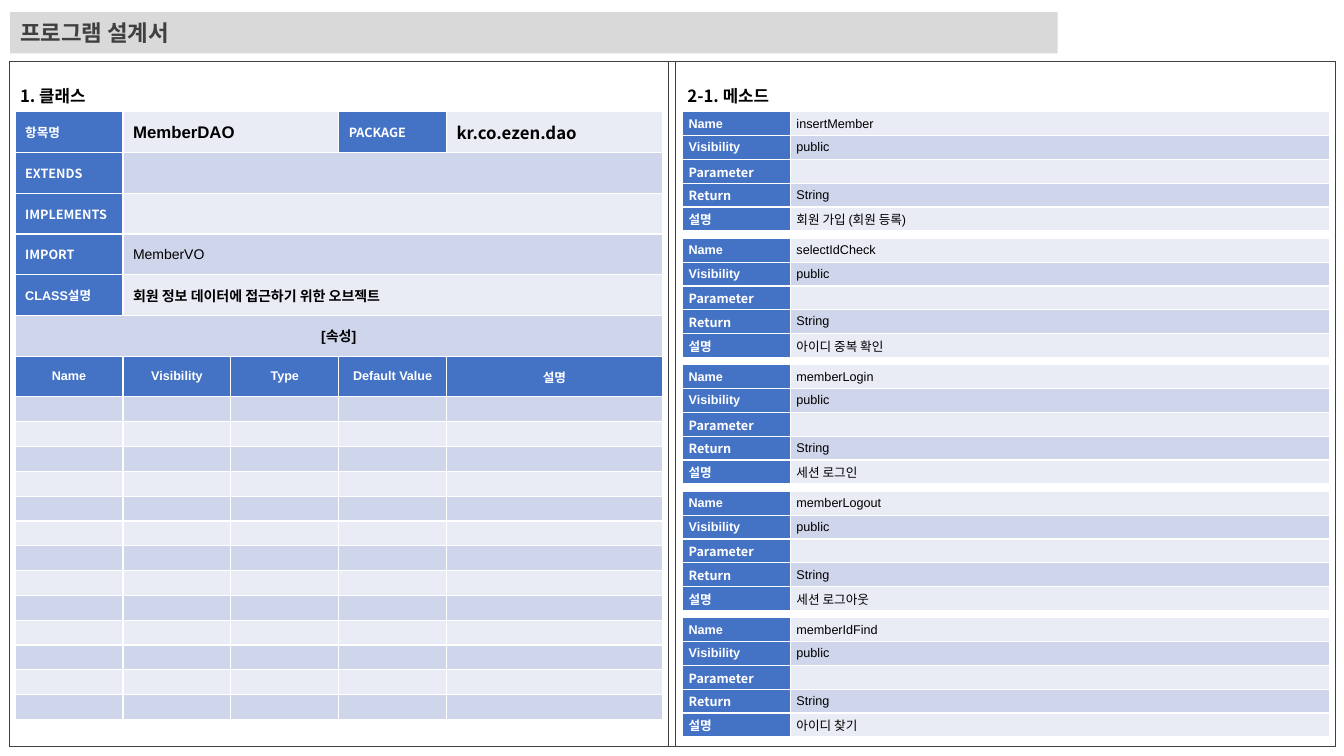
from dataclasses import dataclass, field

from lxml import etree
from pptx import Presentation
from pptx import util as u
from pptx.dml.color import RGBColor
from pptx.enum import shapes, text
from pptx.oxml import ns

SANS, KOREAN = "Arial", "Noto Sans CJK KR"
BLUE, PALE, MID, WHITE, BLACK, GREY = "4472C4", "E9EBF5", "CFD5EA", "FFFFFF", "000000", "404040"
COLUMN = 1.07  # one table column
TABLE_TOP = 1.11
PANEL_TOP, PANEL_HEIGHT = 0.61, 6.79
TALL_ROWS, SHORT_ROWS = 7, 13
TALL, SHORT = 2.83 / TALL_ROWS, 3.2 / SHORT_ROWS
METHOD_ROW, METHOD_PITCH = 1.18 / 5, 5.02 / 4
WIDE_INSET, TIGHT_INSET = (0.1, 0.05), (0.06, 0.03)


@dataclass(frozen=True)
class Style:
    size: float = 9
    font: str = SANS
    color: str = BLACK
    bold: bool = True
    align: text.PP_ALIGN = text.PP_ALIGN.LEFT


@dataclass(frozen=True)
class Entry:
    words: str = ""
    style: Style = field(default_factory=Style)
    fill: str = PALE
    span: int = 1


@dataclass(frozen=True)
class Method:
    name: str
    summary: str


LABEL = Style(color=WHITE)
KOREAN_LABEL = Style(font=KOREAN, color=WHITE)
HEADING = Style(color=WHITE, align=text.PP_ALIGN.CENTER)
PLAIN = Style(bold=False)

METHODS = [
    Method("insertMember", "회원 가입 (회원 등록)"),
    Method("selectIdCheck", "아이디 중복 확인"),
    Method("memberLogin", "세션 로그인"),
    Method("memberLogout", "세션 로그아웃"),
    Method("memberIdFind", "아이디 찾기"),
]

CLASS_ROWS = [
    [Entry("항목명", LABEL, BLUE), Entry("MemberDAO", Style(12), PALE, 2),
     Entry("PACKAGE", KOREAN_LABEL, BLUE), Entry("kr.co.ezen.dao", Style(12, KOREAN))],
    [Entry("EXTENDS", KOREAN_LABEL, BLUE), Entry(fill=MID, span=4)],
    [Entry("IMPLEMENTS", KOREAN_LABEL, BLUE), Entry(span=4)],
    [Entry("IMPORT", KOREAN_LABEL, BLUE), Entry("MemberVO", Style(10, bold=False), MID, 4)],
    [Entry("CLASS설명", LABEL, BLUE),
     Entry("회원 정보 데이터에 접근하기 위한 오브젝트", Style(10), PALE, 4)],
    [Entry("[속성]", Style(10, align=text.PP_ALIGN.CENTER), MID, 5)],
    [Entry(words, HEADING, BLUE)
     for words in ("Name", "Visibility", "Type", "Default Value", "설명")],
] + [[Entry(fill=(MID, PALE)[number % 2])] * 5 for number in range(SHORT_ROWS)]


def rgb(color: str) -> RGBColor:
    return RGBColor.from_string(color)


def write(frame, words: str, style: Style) -> None:
    para = frame.paragraphs[0]
    para.alignment = style.align
    if not words:  # keeps an empty row from growing
        etree.SubElement(para._p, ns.qn("a:endParaRPr"), sz=str(int(style.size * 100)))
        return
    span = para.add_run()
    span.text = words
    formats = {"size": u.Pt(style.size), "name": style.font, "bold": style.bold}
    for name, value in formats.items():
        setattr(span.font, name, value)
    span.font.color.rgb = rgb(style.color)
    etree.SubElement(span._r.get_or_add_rPr(), ns.qn("a:ea"), typeface=KOREAN)


def add_panel(page, left: float, top: float, width: float, height: float,
              fill: str = "", line: str = ""):
    panel = page.shapes.add_shape(shapes.MSO_SHAPE.RECTANGLE, *map(u.Inches, (left, top, width, height)))
    panel.shadow.inherit = False
    if fill:
        panel.fill.solid()
        panel.fill.fore_color.rgb = rgb(fill)
    else:
        panel.fill.background()
    if line:
        panel.line.color.rgb = rgb(line)
        panel.line.width = u.Pt(0.5)
    else:
        panel.line.fill.background()
    return panel


def add_caption(page, left: float, words: str) -> None:
    box = page.shapes.add_textbox(*map(u.Inches, (left, 0.8, 1.55, 0.3)))
    box.text_frame.word_wrap = True
    box.text_frame.auto_size = text.MSO_AUTO_SIZE.SHAPE_TO_FIT_TEXT
    write(box.text_frame, words, Style(12, KOREAN))


def add_borders(cell) -> None:
    properties = cell._tc.get_or_add_tcPr()
    for position, side in enumerate(("lnL", "lnR", "lnT", "lnB")):
        border = etree.Element(ns.qn(f"a:{side}"), w=str(u.Pt(1)))
        paint = etree.SubElement(border, ns.qn("a:solidFill"))
        etree.SubElement(paint, ns.qn("a:srgbClr"), val=WHITE)
        properties.insert(position, border)


def add_grid(page, left: float, top: float, columns: list[int], heights: list[float],
             rows: list[list[Entry]], inset: tuple[float, float]) -> None:
    table = page.shapes.add_table(
        len(rows), len(columns),
        *map(u.Inches, (left, top, COLUMN * sum(columns), sum(heights)))).table
    table.first_row = table.horz_banding = False
    for column, share in zip(table.columns, columns):
        column.width = u.Inches(COLUMN * share)
    for number, (height, entries) in enumerate(zip(heights, rows)):
        table.rows[number].height = u.Inches(height)
        start = 0
        for entry in entries:
            end = start + entry.span
            for place in range(start, end):
                cell = table.cell(number, place)
                across, down = inset if entry.words else TIGHT_INSET
                formats = {"margin_left": u.Inches(across), "margin_right": u.Inches(across),
                           "margin_top": u.Inches(down), "margin_bottom": u.Inches(down),
                           "vertical_anchor": text.MSO_ANCHOR.MIDDLE}
                for name, value in formats.items():
                    setattr(cell, name, value)
                cell.fill.solid()
                cell.fill.fore_color.rgb = rgb(entry.fill)
                add_borders(cell)
                write(cell.text_frame, entry.words if place == start else "", entry.style)
            if entry.span > 1:
                table.cell(number, start).merge(table.cell(number, end - 1))
            start = end


def method_rows(method: Method) -> list[list[Entry]]:
    lines = [("Name", LABEL, method.name), ("Visibility", LABEL, "public"),
             ("Parameter", KOREAN_LABEL, ""), ("Return", KOREAN_LABEL, "String"),
             ("설명", LABEL, method.summary)]
    return [[Entry(label, style, BLUE), Entry(value, PLAIN, (PALE, MID)[number % 2])]
            for number, (label, style, value) in enumerate(lines)]


def main() -> None:
    deck = Presentation()
    deck.slide_width, deck.slide_height = u.Inches(13.33), u.Inches(7.5)
    page = deck.slides.add_slide(deck.slide_layouts[6])

    # Title bar
    title = add_panel(page, 0.1, 0.12, 10.39, 0.41, fill="D9D9D9")
    title.text_frame.vertical_anchor = text.MSO_ANCHOR.MIDDLE
    write(title.text_frame, "프로그램 설계서", Style(16, KOREAN, GREY))

    # Outer frame and the two halves
    for left, width in ((0.09, 13.15), (0.09, 6.54), (6.7, 6.54)):
        add_panel(page, left, PANEL_TOP, width, PANEL_HEIGHT, line=GREY)

    # Class half
    add_caption(page, 0.1, "1. 클래스")
    add_grid(page, 0.15, TABLE_TOP, [1, 1, 1, 1, 2],
             [TALL] * TALL_ROWS + [SHORT] * SHORT_ROWS, CLASS_ROWS, WIDE_INSET)

    # Method half
    add_caption(page, 6.72, "2-1. 메소드")
    for number, method in enumerate(METHODS):
        add_grid(page, 6.77, TABLE_TOP + number * METHOD_PITCH, [1, 5],
                 [METHOD_ROW] * 5, method_rows(method), TIGHT_INSET)

    deck.save("out.pptx")


if __name__ == "__main__":
    main()
